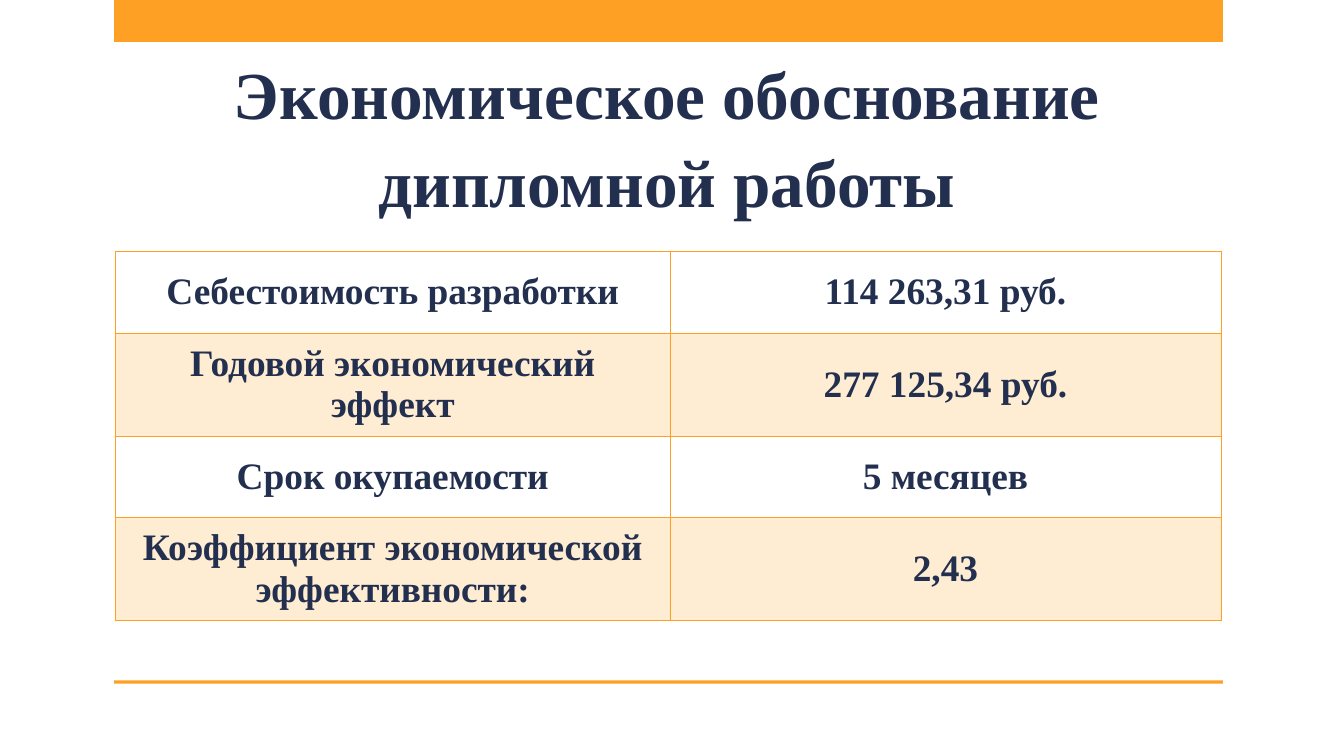
from lxml.etree import SubElement
from pptx import Presentation
from pptx.dml.color import RGBColor
from pptx.enum.shapes import MSO_SHAPE
from pptx.enum.text import MSO_ANCHOR, PP_ALIGN
from pptx.oxml.ns import qn
from pptx.util import Pt

ORANGE = RGBColor(0xFD, 0xA0, 0x23)
NAVY = RGBColor(0x23, 0x2F, 0x4E)
FONT = "Times New Roman"
PAD_X, PAD_Y = Pt(14.4), Pt(7.2)

ROWS = [
    ("Себестоимость разработки", "114 263,31 руб."),
    ("Годовой экономический эффект", "277 125,34 руб."),
    ("Срок окупаемости", "5 месяцев"),
    ("Коэффициент экономической эффективности:", "2,43"),
]


def add_bar(slide, left, top, width, height):
    bar = slide.shapes.add_shape(
        MSO_SHAPE.RECTANGLE, Pt(left), Pt(top), Pt(width), Pt(height))
    bar.shadow.inherit = False
    bar.fill.solid()
    bar.fill.fore_color.rgb = ORANGE
    bar.line.fill.background()


def write(para, text, size):
    para.alignment = PP_ALIGN.CENTER
    run = para.add_run()
    run.text = text
    font = run.font
    font.name, font.size, font.bold = FONT, Pt(size), True
    font.color.rgb = NAVY


def set_pad(part):
    part.margin_left = part.margin_right = PAD_X
    part.margin_top = part.margin_bottom = PAD_Y


def add_title(slide, left, top, width, height):
    box = slide.shapes.add_textbox(Pt(left), Pt(top), Pt(width), Pt(height))
    frame = box.text_frame
    frame.word_wrap = True
    set_pad(frame)
    para = frame.paragraphs[0]
    para.line_spacing = 1.08
    write(para, "Экономическое обоснование дипломной работы", 72)


def style_cell(cell, tinted):
    # Borders go before the fill in the cell properties
    props = cell._tc.get_or_add_tcPr()
    for side in ("a:lnL", "a:lnR", "a:lnT", "a:lnB"):
        line = SubElement(props, qn(side), w=str(Pt(1)))
        fill = SubElement(line, qn("a:solidFill"))
        SubElement(fill, qn("a:srgbClr"), val=str(ORANGE))
    if tinted:
        cell.fill.solid()
        cell.fill.fore_color.rgb = ORANGE
        color = props.find(qn("a:solidFill")).find(qn("a:srgbClr"))
        SubElement(color, qn("a:alpha"), val="20000")
    else:
        cell.fill.background()


def add_costs(slide, left, top, width, height):
    frame = slide.shapes.add_table(
        len(ROWS), 2, Pt(left), Pt(top), Pt(width), Pt(height))
    table = frame.table
    table.first_row = table.horz_banding = False
    table.columns[0].width = Pt(594)
    table.columns[1].width = Pt(width - 594)
    # Plain one-line rows alternate with tinted two-line rows
    for i, row in enumerate(ROWS):
        tinted = i % 2 == 1
        table.rows[i].height = Pt(110.4 if tinted else 87.4)
        for j, text in enumerate(row):
            cell = table.cell(i, j)
            cell.vertical_anchor = MSO_ANCHOR.MIDDLE
            set_pad(cell)
            style_cell(cell, tinted)
            write(cell.text_frame.paragraphs[0], text, 40)


def main():
    deck = Presentation()
    deck.slide_width, deck.slide_height = Pt(1440), Pt(810)
    slide = deck.slides.add_slide(deck.slide_layouts[6])
    # Top band and bottom rule
    add_bar(slide, 122.4, 0, 1188, 45)
    add_bar(slide, 122.4, 729, 1188, 3.6)
    # Title and table
    add_title(slide, 130.3, 42.5, 1168.6, 189.4)
    add_costs(slide, 123.8, 269.3, 1184.4, 395.6)
    deck.save("out.pptx")


if __name__ == "__main__":
    main()
